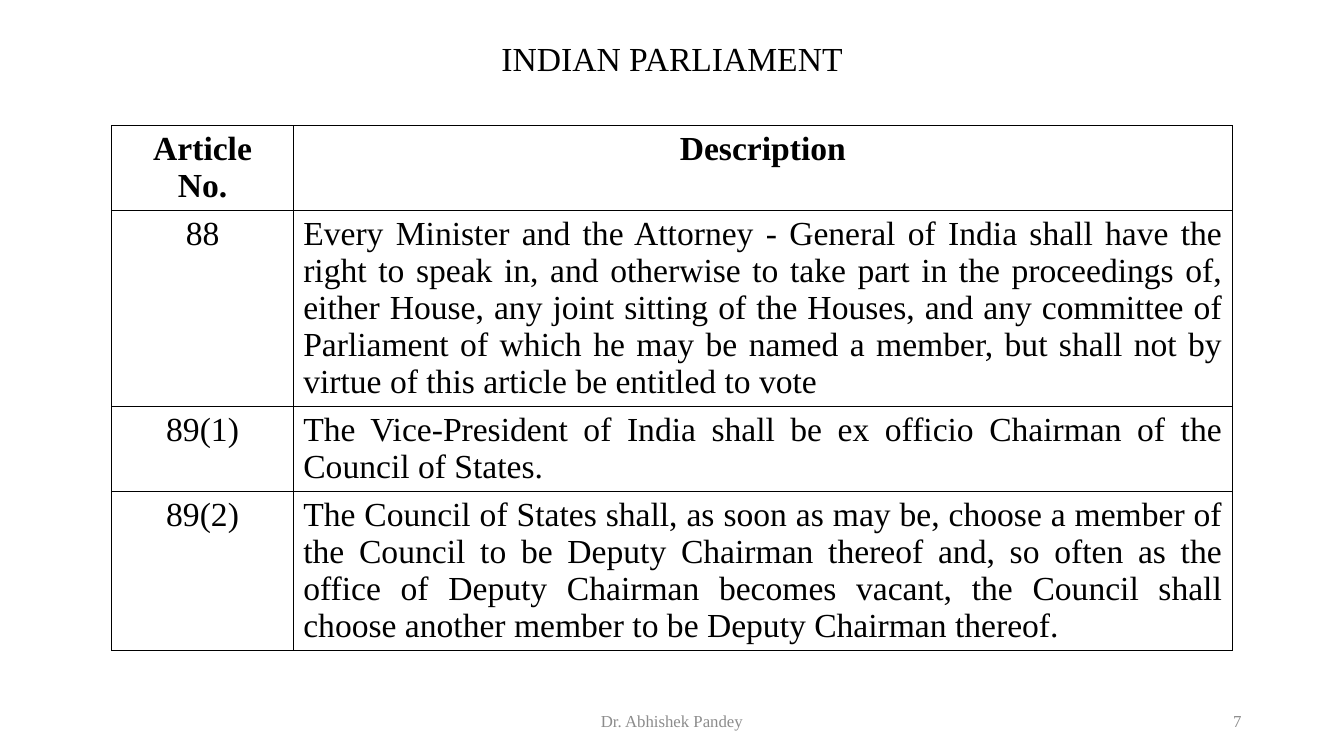
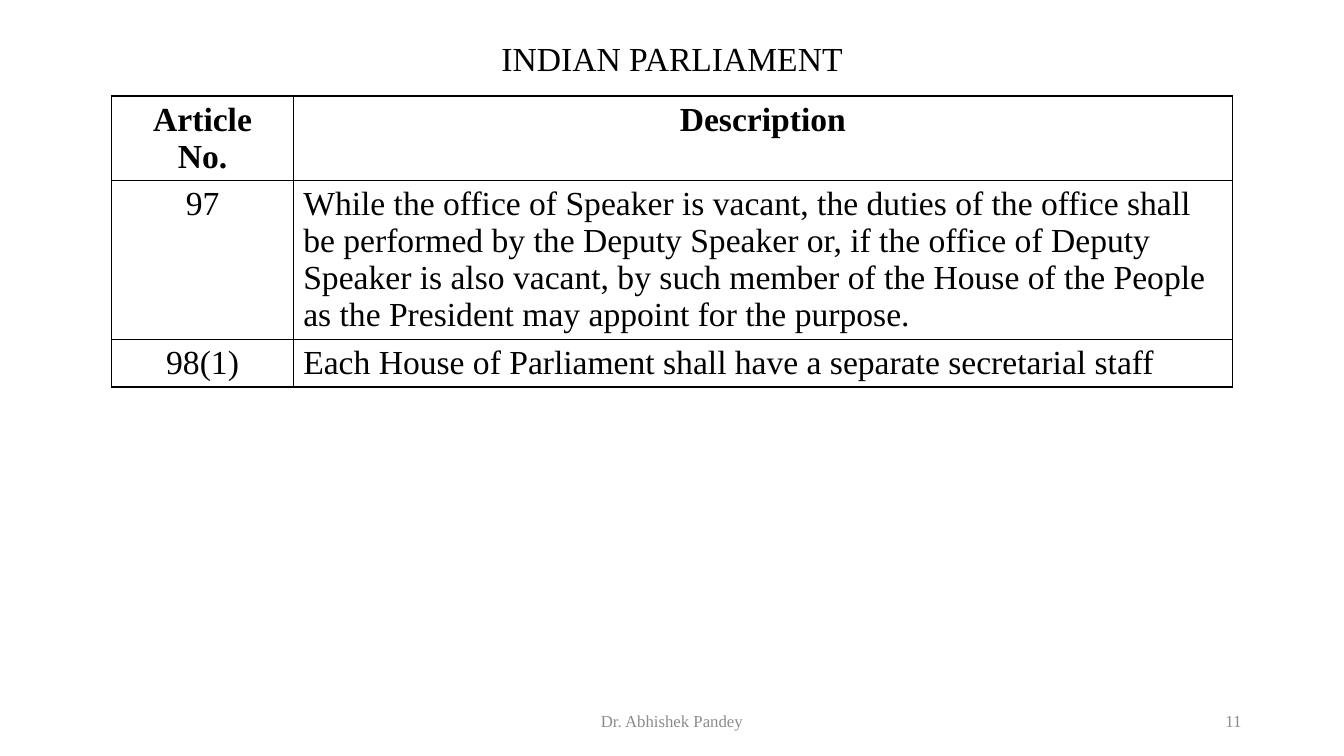
from lxml import etree
from pptx import Presentation
from pptx.dml.color import RGBColor
from pptx.enum.text import MSO_ANCHOR, PP_ALIGN
from pptx.oxml import ns
from pptx.util import Cm, Pt

BLACK = RGBColor(0x00, 0x00, 0x00)
GREY = RGBColor(0x8C, 0x8C, 0x8C)
FONT = "Times New Roman"
LINE, PAD = 0.94, 0.25  # text line and cell padding, cm
COLS = (4.57, 23.67)
HEAD = ("Article\vNo.", "Description", 2, PP_ALIGN.CENTER)
LEFT, JUST = PP_ALIGN.LEFT, PP_ALIGN.JUSTIFY

# Each slide: page number, table top, rows of (article, text, lines, alignment)
SLIDES = [
    ("7", 3.17, [
        ("88", "Every Minister and the Attorney - General of India shall have the "
         "right to speak in, and otherwise to take part in the proceedings of, "
         "either House, any joint sitting of the Houses, and any committee of "
         "Parliament of which he may be named a member, but shall not by "
         "virtue of this article be entitled to vote", 5, JUST),
        ("89(1)", "The Vice-President of India shall be ex officio Chairman of "
         "the Council of States.", 2, JUST),
        ("89(2)", "The Council of States shall, as soon as may be, choose a "
         "member of the Council to be Deputy Chairman thereof and, so often as "
         "the office of Deputy Chairman becomes vacant, the Council shall "
         "choose another member to be Deputy Chairman thereof.", 4, JUST),
    ]),
    ("11", 2.42, [
        ("97", "While the office of Speaker is vacant, the duties of the office "
         "shall be performed by the Deputy Speaker or, if the office of Deputy "
         "Speaker is also vacant, by such member of the House of the People "
         "as the President may appoint for the purpose.", 4, LEFT),
        ("98(1)", "Each House of Parliament shall have a separate secretarial "
         "staff", 1, JUST),
    ]),
]


def write(frame, words, size, color, align, bold=False):
    frame.text = words
    frame.word_wrap = True
    para = frame.paragraphs[0]
    para.alignment = align
    for run in para.runs:
        run.font.name = FONT
        run.font.size = Pt(size)
        run.font.bold = bold
        run.font.color.rgb = color


def frame_cell(cell):
    """Draw a thin black border on all four sides and leave the cell unfilled."""
    props = cell._tc.get_or_add_tcPr()
    for side in ("lnL", "lnR", "lnT", "lnB"):
        edge = etree.SubElement(props, ns.qn("a:" + side), w=str(Pt(1)))
        fill = etree.SubElement(edge, ns.qn("a:solidFill"))
        etree.SubElement(fill, ns.qn("a:srgbClr"), val=str(BLACK))
    cell.fill.background()


deck = Presentation()
deck.slide_width, deck.slide_height = Cm(33.87), Cm(19.05)

for page, top, rows in SLIDES:
    slide = deck.slides.add_slide(deck.slide_layouts[5])

    title = slide.shapes.title
    title.left, title.top = Cm(2.33), Cm(1.02)
    title.width, title.height = Cm(29.21), Cm(1.02)
    title.text_frame.vertical_anchor = MSO_ANCHOR.MIDDLE
    write(title.text_frame, "INDIAN PARLIAMENT", 24, BLACK, PP_ALIGN.CENTER)
    title.text_frame.paragraphs[0].line_spacing = 0.9

    rows = [HEAD] + rows
    tall = sum(LINE * row[2] + PAD for row in rows)
    table = slide.shapes.add_table(len(rows), 2, Cm(2.82), Cm(top),
                                   Cm(sum(COLS)), Cm(tall)).table
    table.first_row = table.horz_banding = False
    for col, width in zip(table.columns, COLS):
        col.width = Cm(width)
    for i, (num, words, lines, align) in enumerate(rows):
        table.rows[i].height = Cm(LINE * lines + PAD)
        pairs = ((num, PP_ALIGN.CENTER), (words, align))
        for cell, (label, side) in zip(table.rows[i].cells, pairs):
            write(cell.text_frame, label, 24, BLACK, side, bold=i == 0)
            frame_cell(cell)

    for words, left, width, align in (
            ("Dr. Abhishek Pandey", 11.22, 11.43, PP_ALIGN.CENTER),
            (page, 23.92, 7.62, PP_ALIGN.RIGHT)):
        foot = slide.shapes.add_textbox(Cm(left), Cm(17.66), Cm(width), Cm(1.01))
        foot.text_frame.vertical_anchor = MSO_ANCHOR.MIDDLE
        write(foot.text_frame, words, 12, GREY, align)

deck.save("out.pptx")
